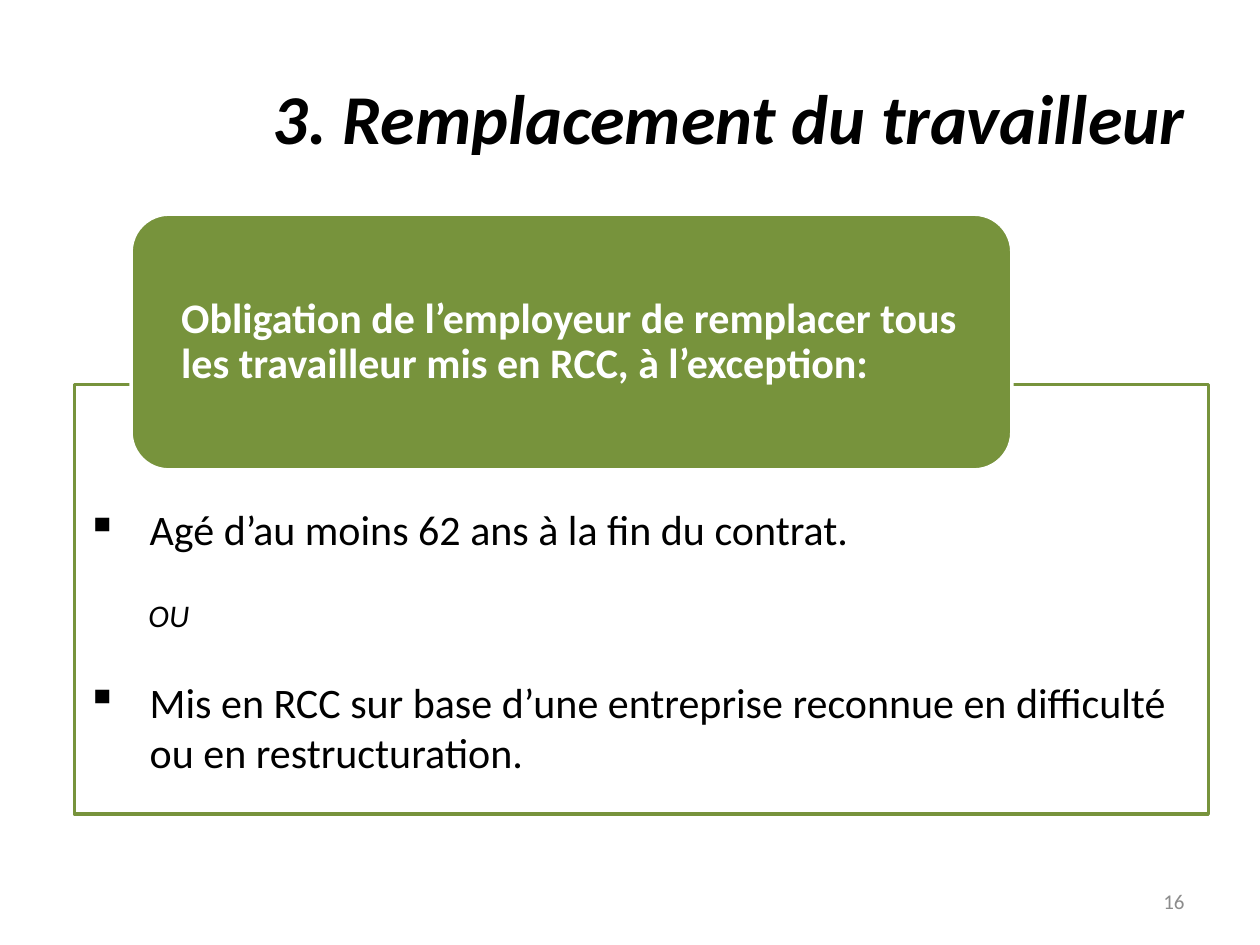
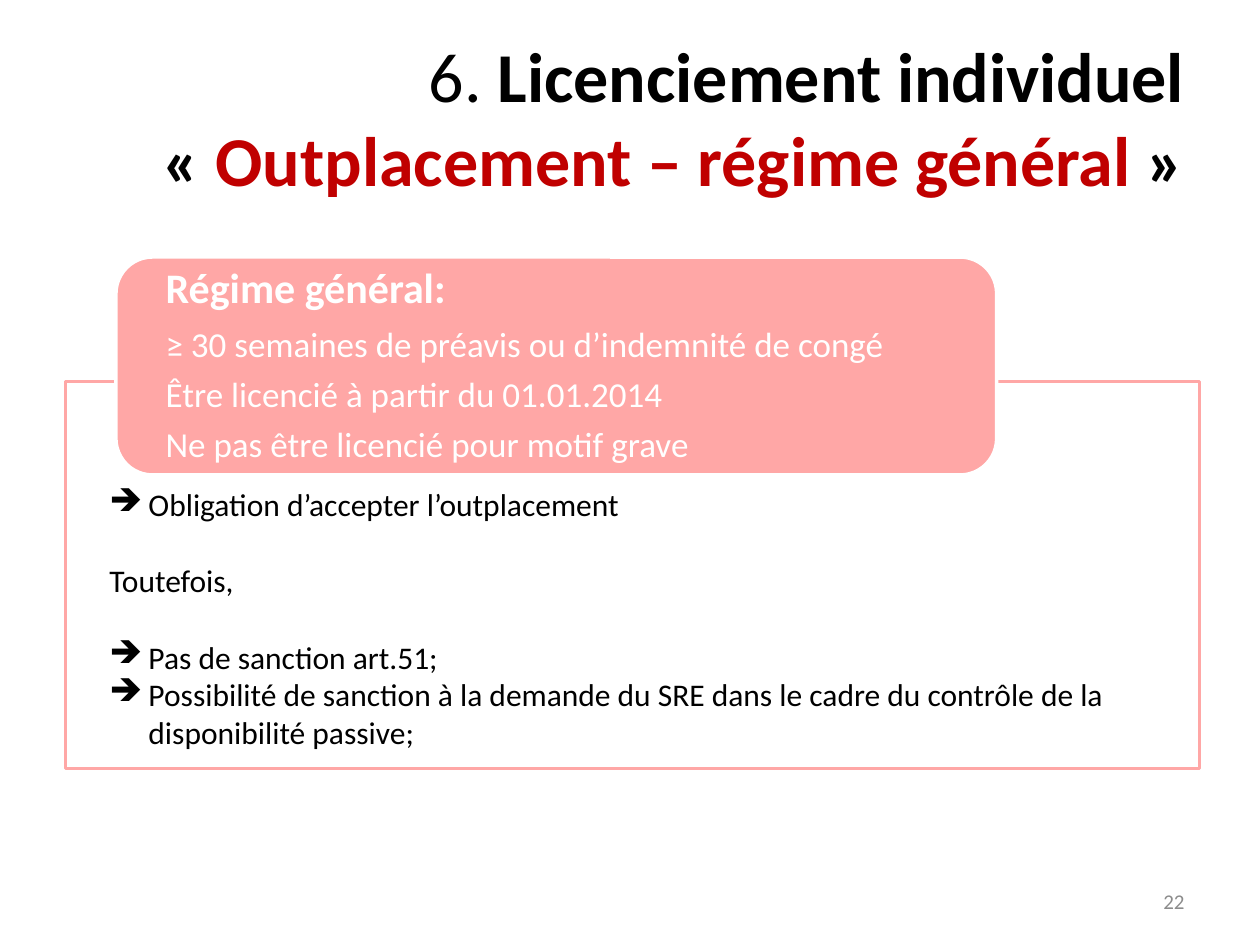
from lxml import etree
from pptx import Presentation
from pptx import util as u
from pptx.dml.color import RGBColor
from pptx.enum import shapes, text
from pptx.oxml.ns import qn

COLORS = {
    "text": "000000",
    "white": "FFFFFF",
    "number": "8C8C8C",
    "accent": "C00000",
    "green": "77933C",
    "pink": "FFA7A6",
}
FONT = "Calibri"
SHAPE = shapes.MSO_SHAPE
ALIGN = text.PP_ALIGN
MIDDLE = text.MSO_ANCHOR.MIDDLE
BORDER = 2


def rgb(name):
    return RGBColor.from_string(COLORS[name])


def inches(box):
    return [u.Inches(v) for v in box]


def apply(target, **values):
    for name, value in values.items():
        setattr(target, name, value)


class Deck:
    """Holds the presentation, its style and the current slide."""

    def __init__(self):
        self.prs = Presentation()
        apply(self.prs, slide_width=u.Inches(10), slide_height=u.Inches(7.5))
        self.s = None

    def new_slide(self, number):
        self.s = self.prs.slides.add_slide(self.prs.slide_layouts[5])
        tf = self.text_box((7.17, 6.95, 2.33, 0.4))
        tf.vertical_anchor = MIDDLE
        p = tf.paragraphs[0]
        p.alignment = ALIGN.RIGHT
        self.run(p, str(number), 12, "number")

    def run(self, p, words, size, color="text", bold=False, italic=False):
        r = p.add_run()
        r.text = words
        apply(r.font, name=FONT, size=u.Pt(size), bold=bold, italic=italic)
        r.font.color.rgb = rgb(color)

    def title(self, *lines):
        """Each line is a list of (words, run format) pairs."""
        sp = self.s.shapes.title
        apply(sp, **dict(zip(("left", "top", "width", "height"),
                             inches((0.5, 0.3, 9, 1.25)))))
        tf = sp.text_frame
        apply(tf, vertical_anchor=MIDDLE, auto_size=text.MSO_AUTO_SIZE.NONE)
        p = tf.paragraphs[0]
        p.alignment = ALIGN.RIGHT
        for i, line in enumerate(lines):
            if i:
                p.add_line_break()
            for words, style in line:
                self.run(p, words, 40, **style)

    def text_box(self, box):
        tf = self.s.shapes.add_textbox(*inches(box)).text_frame
        tf.word_wrap = True
        return tf

    def shape(self, kind, box, fill, line):
        sp = self.s.shapes.add_shape(kind, *inches(box))
        sp.shadow.inherit = False
        sp.fill.solid()
        sp.fill.fore_color.rgb = rgb(fill)
        sp.line.color.rgb = rgb(line)
        sp.line.width = u.Pt(BORDER)
        return sp

    def frame(self, box, color):
        sp = self.shape(SHAPE.RECTANGLE, box, "white", color)
        fill = sp.fill.fore_color._xFill.find(qn("a:srgbClr"))
        etree.SubElement(fill, qn("a:alpha"), val="90000")

    def header(self, box, color, radius, lines):
        """Rounded heading over the frame; lines are (words, size, bold)."""
        sp = self.shape(SHAPE.ROUNDED_RECTANGLE, box, color, "white")
        sp.adjustments[0] = radius / box[3]
        tf = sp.text_frame
        apply(tf, word_wrap=True, vertical_anchor=MIDDLE,
              margin_left=u.Inches(0.31), margin_right=u.Inches(0.31),
              margin_top=u.Inches(0.08), margin_bottom=u.Inches(0.08))
        for i, (words, size, bold) in enumerate(lines):
            p = tf.add_paragraph() if i else tf.paragraphs[0]
            apply(p, alignment=ALIGN.LEFT, line_spacing=0.9)
            if i < len(lines) - 1:
                p.space_after = u.Pt(0.35 * size)
            self.run(p, words, size, "white", bold)

    def body(self, box, items, bullet, indent):
        """Items are (words, size, bulleted, left margin, space before, italic)."""
        tf = self.text_box(box)
        tf.auto_size = text.MSO_AUTO_SIZE.SHAPE_TO_FIT_TEXT
        for i, (words, size, bulleted, margin, before, italic) in enumerate(items):
            p = tf.add_paragraph() if i else tf.paragraphs[0]
            pPr = p._p.get_or_add_pPr()
            pPr.set("marL", str(u.Inches(margin)))
            pPr.set("indent", str(u.Inches(-indent if bulleted else 0)))
            if bulleted:
                etree.SubElement(pPr, qn("a:buChar"), char=bullet)
            if before:
                p.space_before = u.Pt(before)
            self.run(p, words, size, italic=italic)


def replacement_slide(deck):
    deck.new_slide(16)
    deck.title([("3. Remplacement du travailleur", {"bold": True, "italic": True})])
    deck.frame((0.59, 3.05, 9, 3.41), "green")
    deck.header((1.04, 1.7, 6.99, 2.03), "green", 0.3, [
        ("Obligation de l’employeur de remplacer tous les travailleur "
         "mis en RCC, à l’exception:", 24, True),
    ])
    deck.body((0.59, 3.95, 9, 2.29), [
        ("Agé d’au moins 62 ans à la fin du contrat.", 24, True, 0.5, 0, False),
        ("OU", 18, False, 0.49, 24, True),
        ("Mis en RCC sur base d’une entreprise reconnue en difficulté "
         "ou en restructuration.", 24, True, 0.5, 24, False),
    ], "▪", 0.5)


def outplacement_slide(deck):
    bold = {"bold": True}
    deck.new_slide(22)
    deck.title(
        [("6. ", {}), ("Licenciement individuel", bold)],
        [("« ", bold),
         ("Outplacement – régime général", {"bold": True, "color": "accent"}),
         (" »", bold)],
    )
    deck.frame((0.52, 3.03, 9, 3.07), "pink")
    deck.header((0.92, 2.04, 6.99, 1.73), "pink", 0.29, [
        ("Régime général:", 24, True),
        ("≥ 30 semaines de préavis ou d’indemnité de congé", 20, False),
        ("Être licencié à partir du 01.01.2014", 20, False),
        ("Ne pas être licencié pour motif grave", 20, False),
    ])
    deck.body((0.77, 3.8, 8.49, 2.22), [
        ("Obligation d’accepter l’outplacement", 18, True, 0.31, 0, False),
        ("Toutefois,", 18, False, 0, 22, False),
        ("Pas de sanction art.51;", 18, True, 0.31, 22, False),
        ("Possibilité de sanction à la demande du SRE dans le cadre du "
         "contrôle de la disponibilité passive;", 18, True, 0.31, 0, False),
    ], "➔", 0.31)


def main():
    deck = Deck()
    replacement_slide(deck)
    outplacement_slide(deck)
    deck.prs.save("out.pptx")


if __name__ == "__main__":
    main()
